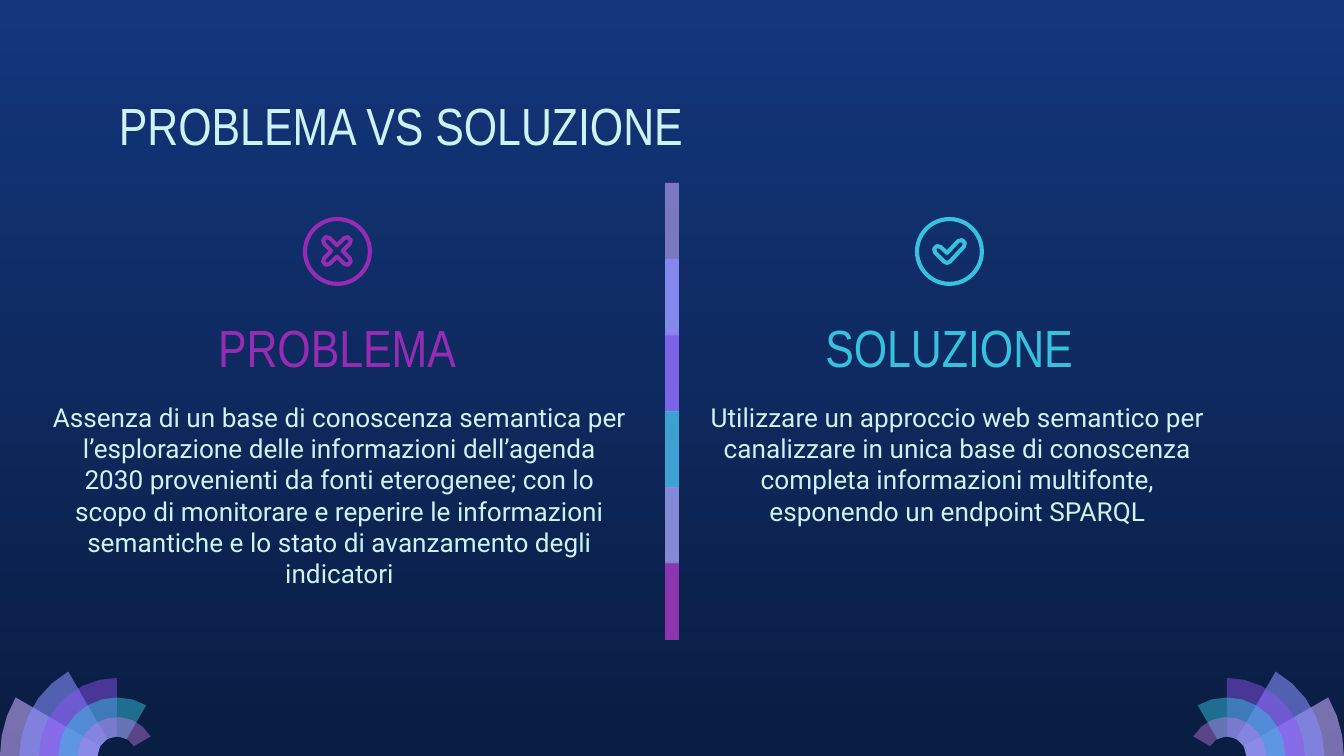
from math import cos, radians, sin, sqrt

from lxml.etree import SubElement
from pptx import Presentation
from pptx.dml.color import RGBColor
from pptx.enum.shapes import MSO_SHAPE
from pptx.enum.text import MSO_ANCHOR, PP_ALIGN
from pptx.oxml.ns import qn

PX = 914400 / 134.4
WIDE, HIGH = 1344, 756
COLORS = {
    "top": "13367C", "base": "0A1D42", "pale": "CEF3F5",
    "lilac": "C8ACFD", "blue": "878FFF", "violet": "9154F8",
    "cyan": "35C2DF", "pink": "CA7BEB", "purple": "972CB4",
}
FANS = [("lilac", 58), ("blue", 58), ("violet", 46), ("cyan", 49), ("pink", 42)]
BARS = [("lilac", 59), ("blue", 74), ("violet", 53), ("cyan", 76),
        ("pink", 56), ("purple", 74)]


def emu(px):
    return round(px * PX)


def rgb(name):
    return RGBColor.from_string(COLORS[name])


def arc(x, y, r, start, end):
    """Points along a circle, by angles in degrees clockwise from the right."""
    steps = max(2, round(abs(end - start) * sqrt(r) / 120))
    turns = [radians(start + (end - start) * i / steps) for i in range(steps + 1)]
    return [(x + r * cos(t), y + r * sin(t)) for t in turns]


class Deck:
    head = {"font": "Arial Narrow", "size": 28, "kern": False}
    body = {"font": "Roboto", "size": 14}

    def __init__(self):
        self.file = Presentation()
        self.file.slide_width, self.file.slide_height = emu(WIDE), emu(HIGH)
        self.slide = self.file.slides.add_slide(self.file.slide_layouts[6])
        self.shapes = self.slide.shapes

    def back(self):
        fill = self.slide.background.fill
        fill.gradient()
        fill.gradient_angle = 270
        for stop, name in zip(fill.gradient_stops, ("top", "base")):
            stop.color.rgb = rgb(name)

    def paint(self, shape, color, alpha=100):
        shape.shadow.inherit = False
        shape.line.fill.background()
        shape.fill.solid()
        shape.fill.fore_color.rgb = rgb(color)
        if alpha < 100:
            tone = shape.fill._xPr.find(".//" + qn("a:srgbClr"))
            SubElement(tone, qn("a:alpha"), val=str(alpha * 1000))

    def block(self, kind, x, y, w, h, color, alpha=100):
        shape = self.shapes.add_shape(kind, emu(x), emu(y), emu(w), emu(h))
        self.paint(shape, color, alpha)
        return shape

    def poly(self, points, color, alpha=100):
        dots = [(emu(x), emu(y)) for x, y in points]
        pen = self.shapes.build_freeform(*dots[0], scale=1)
        pen.add_line_segments(dots[1:], close=True)
        shape = pen.convert_to_shape()
        self.paint(shape, color, alpha)
        return shape

    def trace(self, points, color):
        """Draw a closed outline with no fill."""
        shape = self.poly(points, color)
        shape.fill.background()
        shape.line.color.rgb = rgb(color)
        shape.line.width = emu(4)
        SubElement(shape.line._get_or_add_ln(), qn("a:round"))

    def ring(self, x, y, color):
        shape = self.block(MSO_SHAPE.DONUT, x - 34, y - 34, 69, 69, color)
        shape.adjustments[0] = 0.06

    def text(self, words, x, y, w, h, font, size, color="pale",
             align=PP_ALIGN.CENTER, kern=True):
        frame = self.shapes.add_textbox(emu(x), emu(y), emu(w), emu(h)).text_frame
        frame.word_wrap = True
        frame.vertical_anchor = MSO_ANCHOR.TOP
        frame.margin_left = frame.margin_right = emu(13)
        frame.margin_top = frame.margin_bottom = emu(13)
        para = frame.paragraphs[0]
        para.alignment = align
        run = para.add_run()
        run.text = words
        run.font.name, run.font.size = font, size * 12700
        run.font.color.rgb = rgb(color)
        if not kern:
            run.font._rPr.set("kern", "0")

    def fan(self, flip):
        """Stack five ring sectors in a lower corner."""
        for i, (color, alpha) in enumerate(FANS):
            end = 210 + 30 * i
            points = (arc(117, HIGH, 117 - 19.5 * i, 180, end)
                      + arc(117, HIGH, 19.5, end, 180))
            if flip:
                points = [(WIDE - x, y) for x, y in points]
            self.poly(points, color, alpha)

    def cross(self, x, y, color):
        points = []
        for turn in range(45, 405, 90):
            a, b = radians(turn), radians(turn + 45)
            reach, notch = 10 * sqrt(2), 4 * sqrt(2)
            points += arc(x + reach * cos(a), y + reach * sin(a), 4,
                          turn - 90, turn + 90)
            points.append((x + notch * cos(b), y + notch * sin(b)))
        self.trace(points, color)

    def check(self, x, y, color):
        points = (arc(x - 12, y - 1, 4, 135, 315) + [(x - 3, y + 2)]
                  + arc(x + 11, y - 7, 4, 225, 405)
                  + arc(x - 3, y + 8, 4, 45, 135))
        self.trace(points, color)


def main():
    deck = Deck()
    deck.back()
    for flip in (False, True):
        deck.fan(flip)
    for i, (color, alpha) in enumerate(BARS):
        tall = 77 if i == len(BARS) - 1 else 153
        deck.block(MSO_SHAPE.RECTANGLE, 665, 183 + 76 * i, 14, tall,
                   color, alpha)

    deck.text("PROBLEMA VS SOLUZIONE", 106, 80, 1133, 85,
              align=PP_ALIGN.LEFT, **deck.head)
    deck.text("PROBLEMA", 179, 302, 316, 85, color="purple", **deck.head)
    deck.text("SOLUZIONE", 791, 302, 316, 85, color="cyan", **deck.head)
    deck.text("Assenza di un base di conoscenza semantica per l’esplorazione "
              "delle informazioni dell’agenda 2030 provenienti da fonti "
              "eterogenee; con lo scopo di monitorare e reperire le "
              "informazioni semantiche e lo stato di avanzamento degli "
              "indicatori", 39, 388, 601, 202, **deck.body)
    deck.text("Utilizzare un approccio web semantico per canalizzare in unica "
              "base di conoscenza completa informazioni multifonte, esponendo "
              "un endpoint SPARQL", 697, 388, 521, 169, **deck.body)

    deck.ring(337, 251, "purple")
    deck.cross(337, 251, "purple")
    deck.ring(949, 251, "cyan")
    deck.check(950, 251, "cyan")
    deck.file.save("out.pptx")


if __name__ == "__main__":
    main()
